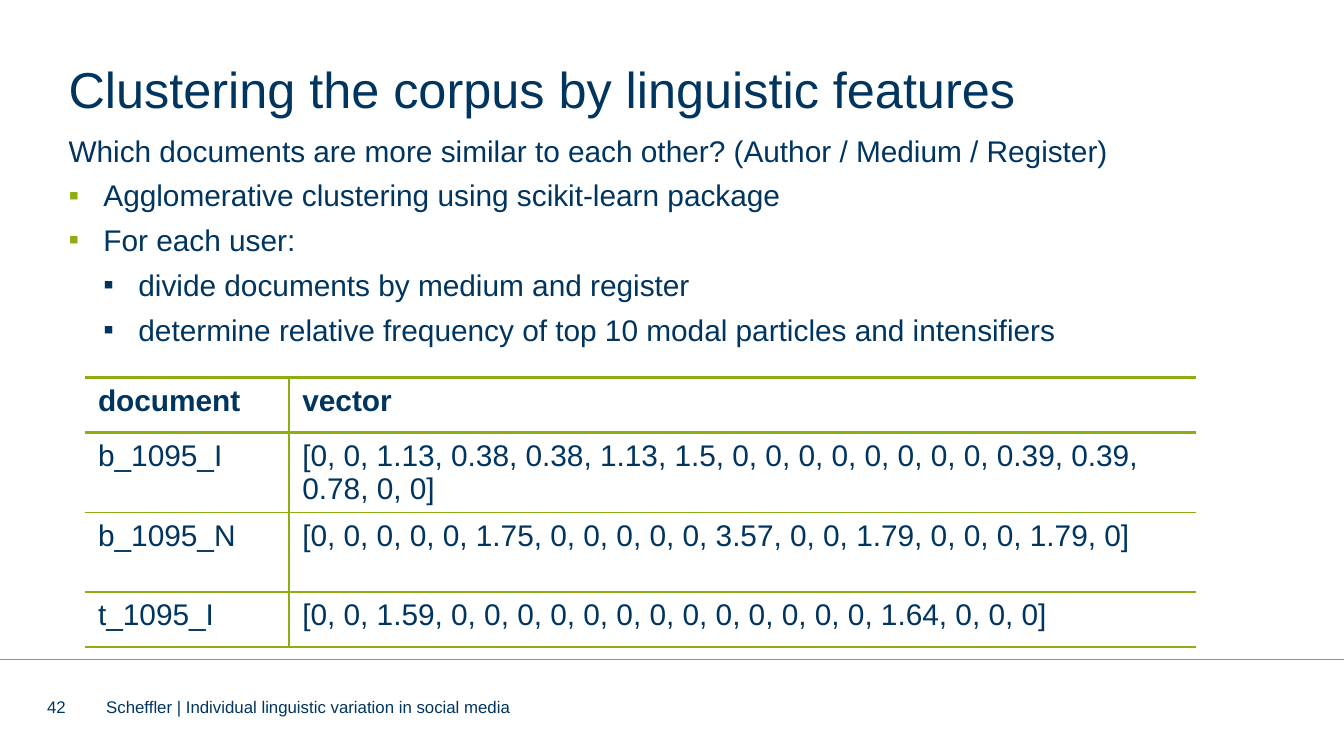
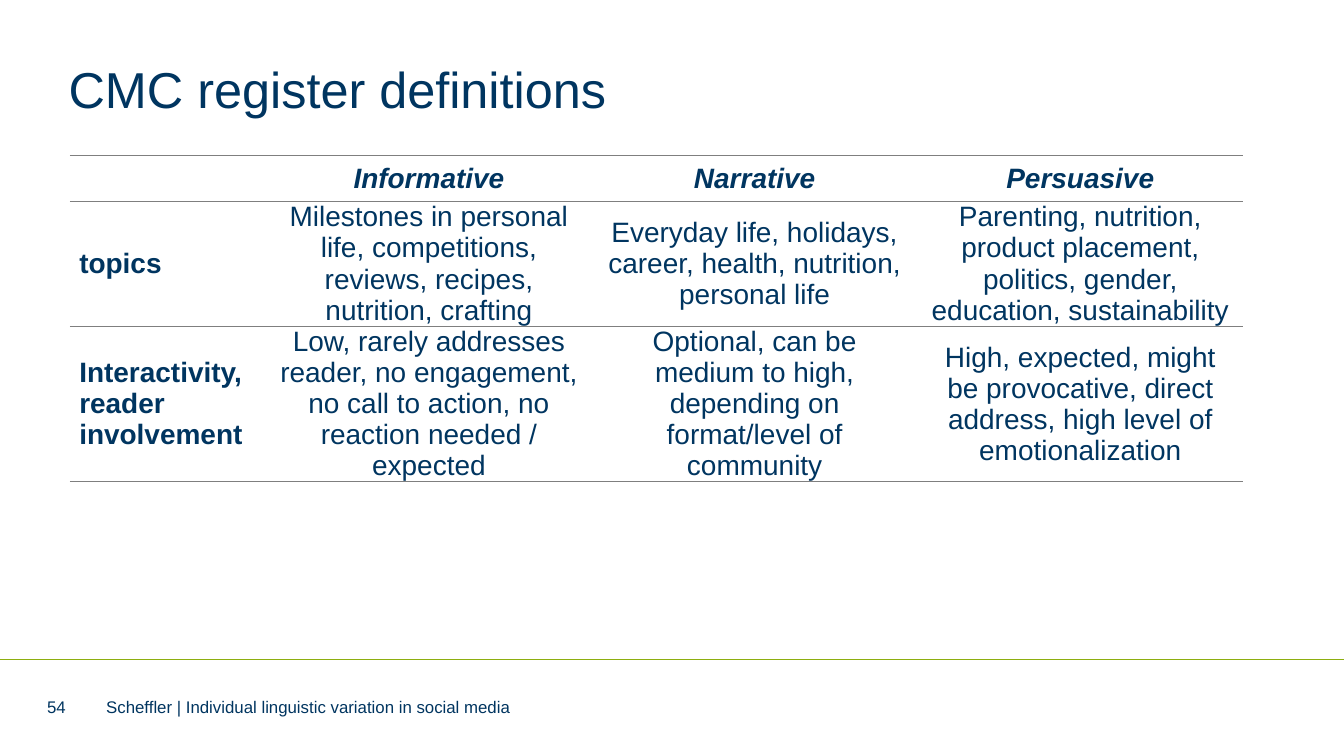
import pptx
import pptx.util
import pptx.dml.color
import pptx.enum.shapes
import pptx.enum.text
import pptx.oxml
import pptx.oxml.ns
from lxml import etree

Inches, Pt = pptx.util.Inches, pptx.util.Pt
RGBColor = pptx.dml.color.RGBColor
ALIGN = pptx.enum.text.PP_ALIGN
ANCHOR = pptx.enum.text.MSO_ANCHOR
qn = pptx.oxml.ns.qn

NAVY = RGBColor(0x00, 0x35, 0x60)
GREEN = RGBColor(0x8D, 0xAE, 0x10)
GRAY = RGBColor(0x7F, 0x7F, 0x7F)
FONT = "Arial"
WIDTH = 10
HEIGHT = WIDTH * 9 / 16
LEFT, TEXT_WIDTH = 0.51, 8.27
INDENT = 0.26
REGISTER_WIDTH, LABEL_WIDTH = 8.73, 1.46
NO_GRID_STYLE = "{2D5ABB26-0587-4C30-8999-92F81FD0307C}"

FOOTER = "Scheffler | Individual linguistic variation in social media"

CLUSTERING = {
    "title": "Clustering the corpus by linguistic features",
    "number": "42",
    "body": [
        (2, 0, None, "Which documents are more similar to each other? (Author / Medium / Register)"),
        (2, 1, GREEN, "Agglomerative clustering using scikit-learn package"),
        (2, 1, GREEN, "For each user:"),
        (3, 2, NAVY, "divide documents by medium and register"),
        (3, 2, NAVY, "determine relative frequency of top 10 modal particles and intensifiers"),
    ],
    "table": [
        ("document", "vector"),
        ("b_1095_I", "[0, 0, 1.13, 0.38, 0.38, 1.13, 1.5, 0, 0, 0, 0, 0, 0, 0, 0, 0.39, 0.39, 0.78, 0, 0]"),
        ("b_1095_N", "[0, 0, 0, 0, 0, 1.75, 0, 0, 0, 0, 0, 3.57, 0, 0, 1.79, 0, 0, 0, 1.79, 0]"),
        ("t_1095_I", "[0, 0, 1.59, 0, 0, 0, 0, 0, 0, 0, 0, 0, 0, 0, 0, 0, 1.64, 0, 0, 0]"),
    ],
}

REGISTERS = {
    "title": "CMC register definitions",
    "number": "54",
    "table": [
        ("", "Informative", "Narrative", "Persuasive"),
        ("topics",
         "Milestones in personal life, competitions, reviews, recipes, nutrition, crafting",
         "Everyday life, holidays, career, health, nutrition, personal life",
         "Parenting, nutrition, product placement, politics, gender, education, sustainability"),
        ("Interactivity, reader involvement",
         "Low, rarely addresses reader, no engagement, no call to action, no reaction needed / expected",
         "Optional, can be medium to high, depending on format/level of community",
         "High, expected, might be provocative, direct address, high level of emotionalization"),
    ],
}


def add_run(p, text, size, bold=False, italic=False):
    r = p.add_run()
    r.text = text
    r.font.name, r.font.size = FONT, Pt(size)
    r.font.bold, r.font.italic = bold, italic
    r.font.color.rgb = NAVY


def set_frame(tf, anchor):
    tf.margin_left = tf.margin_right = tf.margin_top = tf.margin_bottom = 0
    tf.word_wrap = True
    tf.auto_size = pptx.enum.text.MSO_AUTO_SIZE.NONE
    tf.vertical_anchor = anchor


def place(sp, left, top, width, height):
    sp.left, sp.top = Inches(left), Inches(top)
    sp.width, sp.height = Inches(width), Inches(height)


def add_footer(s, number):
    line = s.shapes.add_connector(pptx.enum.shapes.MSO_CONNECTOR.STRAIGHT,
                                  0, Inches(4.91), Inches(WIDTH), Inches(4.91))
    line.line.color.rgb = GREEN
    line.line.width = Pt(0.5)
    etree.SubElement(line.element.spPr, qn("a:effectLst"))
    for left, width, text in ((0.79, 6.89, FOOTER), (0.35, 0.28, number)):
        sp = s.shapes.add_textbox(Inches(left), Inches(5.2), Inches(width), Inches(0.12))
        set_frame(sp.text_frame, ANCHOR.MIDDLE)
        add_run(sp.text_frame.paragraphs[0], text, 9)


def add_slide(prs, layout, content):
    s = prs.slides.add_slide(prs.slide_layouts[layout])
    place(s.shapes.title, LEFT, 0.43, TEXT_WIDTH, 0.51)
    tf = s.shapes.title.text_frame
    set_frame(tf, ANCHOR.TOP)
    tf.paragraphs[0].alignment = ALIGN.LEFT
    add_run(tf.paragraphs[0], content["title"], 27)
    add_footer(s, content["number"])
    return s


def add_body(s, items):
    sp = s.placeholders[1]
    place(sp, LEFT, 1, TEXT_WIDTH, 3.68)
    tf = sp.text_frame
    set_frame(tf, ANCHOR.TOP)
    for i, (level, steps, color, text) in enumerate(items):
        p = tf.add_paragraph() if i else tf.paragraphs[0]
        p.level = level
        p.alignment = ALIGN.LEFT
        p.line_spacing, p.space_before, p.space_after = Pt(18), Pt(0), Pt(6)
        props = p._p.get_or_add_pPr()
        props.set("marL", str(Inches(INDENT * steps)))
        props.set("indent", str(-Inches(INDENT) if color else 0))
        if color:
            fill = etree.SubElement(props, qn("a:buClr"))
            etree.SubElement(fill, qn("a:srgbClr"), val=str(color))
            etree.SubElement(props, qn("a:buFont"), typeface=FONT)
            etree.SubElement(props, qn("a:buChar"), char="▪")
        else:
            etree.SubElement(props, qn("a:buNone"))
        add_run(p, text, 16)


def set_borders(cell, color, widths):
    props = cell._tc.get_or_add_tcPr()
    for side in "LRTB":
        width = widths.get(side)
        ln = etree.SubElement(props, qn("a:ln" + side), w=str(Pt(width or 0)))
        if width:
            fill = etree.SubElement(ln, qn("a:solidFill"))
            etree.SubElement(fill, qn("a:srgbClr"), val=str(color))
        else:
            etree.SubElement(ln, qn("a:noFill"))
    cell.fill.background()


def add_table(s, rows, left, top, col_widths, row_heights, style_cell):
    frame = s.shapes.add_table(len(rows), len(col_widths), Inches(left), Inches(top),
                               Inches(sum(col_widths)), Inches(sum(row_heights)))
    table = frame.table
    table.first_row = table.horz_banding = False
    frame.element.find(".//" + qn("a:tableStyleId")).text = NO_GRID_STYLE
    for col, width in zip(table.columns, col_widths):
        col.width = Inches(width)
    for row, height in zip(table.rows, row_heights):
        row.height = Inches(height)
    for i, texts in enumerate(rows):
        for j, text in enumerate(texts):
            style_cell(table.cell(i, j), i, j, text)


def style_vector_cell(cell, i, j, text):
    last = len(CLUSTERING["table"]) - 1
    set_borders(cell, GREEN, {
        "R" if j == 0 else "L": 1,
        "T": 1.5 if i < 2 else 1,
        "B": 1.5 if i in (0, last) else 1,
    })
    add_run(cell.text_frame.paragraphs[0], text, 16, bold=i == 0)


def style_register_cell(cell, i, j, text):
    set_borders(cell, GRAY, {"T": 0.5, "B": 0.5})
    cell.margin_left = cell.margin_right = Inches(0.07)
    cell.margin_top = cell.margin_bottom = 0
    cell.vertical_anchor = ANCHOR.MIDDLE
    if text:
        p = cell.text_frame.paragraphs[0]
        p.alignment = ALIGN.CENTER if j else ALIGN.LEFT
        add_run(p, text, 15, bold=i == 0 or j == 0, italic=i == 0)


def main():
    prs = pptx.Presentation()
    prs.slide_width, prs.slide_height = Inches(WIDTH), Inches(HEIGHT)

    s = add_slide(prs, 1, CLUSTERING)
    add_body(s, CLUSTERING["body"])
    add_table(s, CLUSTERING["table"], 0.63, 2.81, [1.52, 6.75],
              [0.41, 0.59, 0.59, 0.41], style_vector_cell)

    s = add_slide(prs, 5, REGISTERS)
    register_col = (REGISTER_WIDTH - LABEL_WIDTH) / 3
    add_table(s, REGISTERS["table"], 0.52, 1.16, [LABEL_WIDTH] + [register_col] * 3,
              [0.34, 0.92, 1.16], style_register_cell)

    prs.save("out.pptx")


if __name__ == "__main__":
    main()
